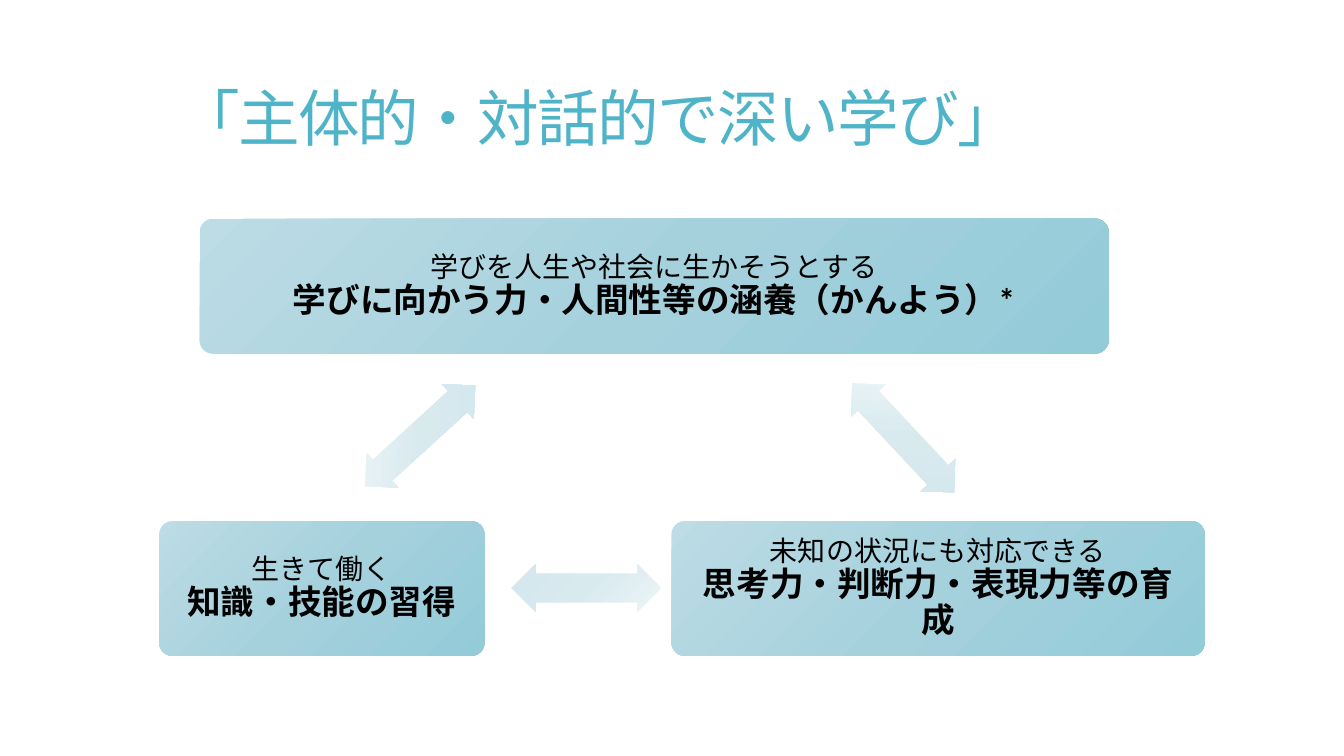
from copy import deepcopy

from lxml.etree import SubElement
from pptx import Presentation
from pptx.dml.color import RGBColor
from pptx.enum.shapes import MSO_SHAPE
from pptx.enum.text import MSO_ANCHOR, PP_ALIGN
from pptx.oxml.ns import qn
from pptx.util import Cm, Pt

THEME = {
    "title_color": "50B4C8",
    "text_color": "000000",
    "box_gradient": ("BDDCE5", "A5D1DD", "94CBD9"),
    "arrow_gradient": ("ECF5F7", "D9EAEF", "D2E7ED"),
    "title_font": "Noto Sans CJK JP",
    "body_font": "Calibri",
    "title_size": 44,
    "lead_size": 20,
    "goal_size": 24,
}


def add_gradient_shape(slide, preset, place, adjustments, colors):
    shape = slide.shapes.add_shape(preset, *(Cm(length) for length in place))
    shape.shadow.inherit = False
    shape.line.fill.background()
    for index, value in enumerate(adjustments):
        shape.adjustments[index] = value
    shape.fill.gradient()
    shape.fill.gradient_angle = 315
    stop_list = shape.fill._xPr.find(qn("a:gradFill")).find(qn("a:gsLst"))
    stop_list.insert(1, deepcopy(stop_list[0]))
    for stop, color, position in zip(shape.fill.gradient_stops, colors, (0, 0.5, 1)):
        stop.color.rgb = RGBColor.from_string(color)
        stop.position = position
    return shape


def format_run(run, font_name, size, color, bold=False):
    run.font.name = font_name
    run.font.size = Pt(size)
    run.font.bold = bold
    run.font.color.rgb = RGBColor.from_string(color)


presentation = Presentation()
presentation.slide_width = Cm(33.87)
presentation.slide_height = Cm(19.05)
slide = presentation.slides.add_slide(presentation.slide_layouts[6])

title = slide.shapes.add_textbox(Cm(4.24), Cm(1.88), Cm(25.38), Cm(2.41))
title.text_frame.word_wrap = True
title.text_frame.vertical_anchor = MSO_ANCHOR.MIDDLE
title.text_frame.text = "「主体的・対話的で深い学び」"
title_paragraph = title.text_frame.paragraphs[0]
title_paragraph.line_spacing = 0.85
title_run = title_paragraph.runs[0]
format_run(title_run, THEME["title_font"], THEME["title_size"], THEME["title_color"])
title_properties = title_run.font._element
title_properties.set("spc", "-120")
SubElement(title_properties, qn("a:ea"), typeface=THEME["title_font"])

box_height = 3.4
lower_top = 13.13
boxes = [
    (5.03, 5.51, 22.91, "学びを人生や社会に生かそうとする", "学びに向かう力・人間性等の涵養（かんよう）*"),
    (16.92, lower_top, 13.44, "未知の状況にも対応できる", "思考力・判断力・表現力等の育成"),
    (4.01, lower_top, 8.2, "生きて働く", "知識・技能の習得"),
]
for left, top, width, lead, goal in boxes:
    box = add_gradient_shape(
        slide, MSO_SHAPE.ROUNDED_RECTANGLE, (left, top, width, box_height),
        (0.1,), THEME["box_gradient"])
    frame = box.text_frame
    frame.word_wrap = True
    frame.vertical_anchor = MSO_ANCHOR.MIDDLE
    frame.margin_left = frame.margin_right = Cm(0.3)
    frame.margin_top = frame.margin_bottom = Cm(0.3)
    paragraph = frame.paragraphs[0]
    paragraph.text = f"{lead}\v{goal}"
    paragraph.alignment = PP_ALIGN.CENTER
    paragraph.line_spacing = 0.9
    lead_run, goal_run = paragraph.runs
    format_run(lead_run, THEME["body_font"], THEME["lead_size"], THEME["text_color"])
    format_run(goal_run, THEME["body_font"], THEME["goal_size"], THEME["text_color"], bold=True)

arrow_size = (3.76, 1.19)
for left, top, rotation in [(20.88, 10.44, 46.9), (12.9, 14.22, 180), (8.71, 10.39, 317.6)]:
    arrow = add_gradient_shape(
        slide, MSO_SHAPE.LEFT_RIGHT_ARROW, (left, top, *arrow_size),
        (0.6, 0.5), THEME["arrow_gradient"])
    arrow.rotation = rotation

presentation.save("out.pptx")
